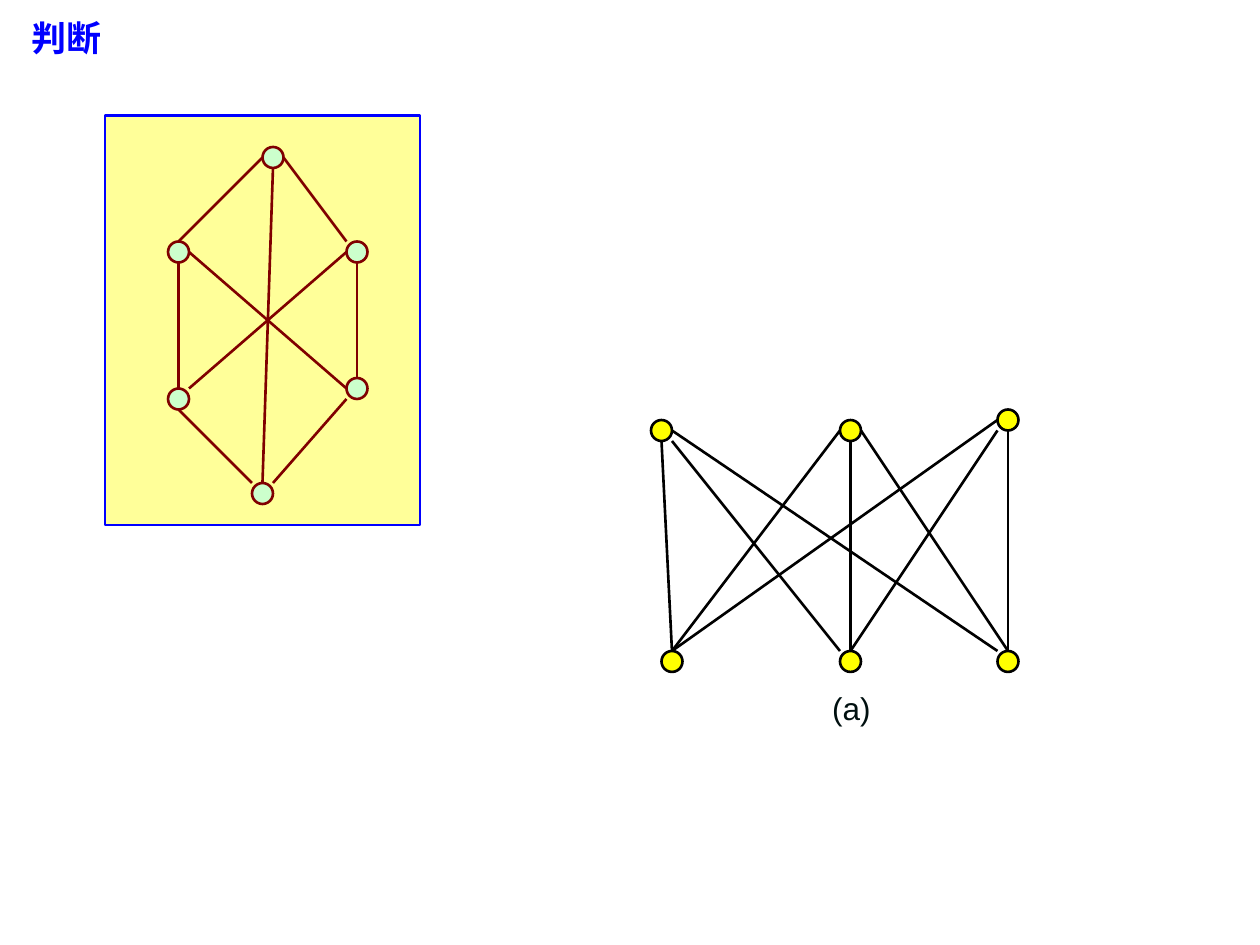
import pptx
import pptx.util
import pptx.dml.color
import pptx.enum.shapes
import pptx.enum.text
import pptx.oxml

Pt = pptx.util.Pt
SHAPE = pptx.enum.shapes.MSO_SHAPE
STRAIGHT = pptx.enum.shapes.MSO_CONNECTOR.STRAIGHT
ALIGN = pptx.enum.text.PP_ALIGN
ANCHOR = pptx.enum.text.MSO_ANCHOR
GROW = pptx.enum.text.MSO_AUTO_SIZE.SHAPE_TO_FIT_TEXT

RADIUS = 6
# Direction from a node's centre to the point where an edge meets it
COMPASS = {
    "N": (0, -1), "S": (0, 1), "E": (1, 0), "W": (-1, 0),
    "NE": (1, -1), "NW": (-1, -1), "SE": (1, 1), "SW": (-1, 1),
}
EMPTY_EFFECTS = (
    '<a:effectLst xmlns:a="http://schemas.openxmlformats.org/drawingml/2006/main"/>'
)

# Node centres, relative to the box of each graph
HEXAGON_NODES = {
    "top": (96, 24), "upper left": (42, 78), "upper right": (144, 78),
    "lower left": (42, 162), "lower right": (144, 156), "bottom": (90, 216),
}
HEXAGON_EDGES = [
    ("top", "S", "bottom", "N"),
    ("top", "W", "upper left", "N"),
    ("top", "E", "upper right", "NW"),
    ("upper left", "S", "lower left", "N"),
    ("lower left", "S", "bottom", "NW"),
    ("bottom", "NE", "lower right", "SW"),
    ("upper right", "S", "lower right", "N"),
    ("upper left", "E", "lower right", "W"),
    ("lower left", "NE", "upper right", "W"),
]
BIPARTITE_NODES = {
    "u1": (6, 12), "u2": (114, 12), "u3": (204, 6),
    "v1": (12, 144), "v2": (114, 144), "v3": (204, 144),
}
BIPARTITE_EDGES = [
    ("u1", "S", "v1", "N"), ("u1", "SE", "v2", "NW"), ("u1", "E", "v3", "NW"),
    ("u2", "W", "v1", "N"), ("u2", "S", "v2", "N"), ("u2", "E", "v3", "N"),
    ("v1", "N", "u3", "W"), ("v2", "N", "u3", "SW"), ("v3", "N", "u3", "S"),
]


def rgb(hex_color):
    return pptx.dml.color.RGBColor.from_string(hex_color)


def set_outline(item, color):
    item.line.color.rgb = rgb(color)
    item.line.width = Pt(1.5)


def add_filled(shapes, kind, left, top, width, height, fill, outline):
    shape = shapes.add_shape(kind, Pt(left), Pt(top), Pt(width), Pt(height))
    shape.shadow.inherit = False
    shape.fill.solid()
    shape.fill.fore_color.rgb = rgb(fill)
    set_outline(shape, outline)


def format_text(frame, text, align, font_name, size, color, bold=False):
    frame.text = text
    frame.auto_size = GROW
    paragraph = frame.paragraphs[0]
    paragraph.alignment = align
    font = paragraph.runs[0].font
    font.name, font.size, font.bold = font_name, Pt(size), bold
    font.color.rgb = rgb(color)


def place_title(slide, left, top, width, height):
    title = slide.shapes.title
    title.left, title.top = Pt(left), Pt(top)
    title.width, title.height = Pt(width), Pt(height)
    title.text_frame.vertical_anchor = ANCHOR.TOP
    format_text(title.text_frame, "判断", ALIGN.LEFT,
                "Times New Roman", 20, "0000FF", bold=True)


def add_graph(slide, left, top, nodes, edges, fill, outline):
    """Draw a grouped graph and return the group."""
    group = slide.shapes.add_group_shape()
    for x, y in nodes.values():
        add_filled(group.shapes, SHAPE.OVAL, left + x - RADIUS, top + y - RADIUS,
                   2 * RADIUS, 2 * RADIUS, fill, outline)

    def meeting_point(node, direction):
        x, y = nodes[node]
        dx, dy = COMPASS[direction]
        return Pt(left + x + RADIUS * dx), Pt(top + y + RADIUS * dy)

    for start, start_side, end, end_side in edges:
        edge = group.shapes.add_connector(
            STRAIGHT, *meeting_point(start, start_side), *meeting_point(end, end_side))
        set_outline(edge, outline)
        edge._element.spPr.append(pptx.oxml.parse_xml(EMPTY_EFFECTS))
    return group


def add_hexagon_panel(slide, left, top, width, height):
    add_filled(slide.shapes, SHAPE.RECTANGLE, left, top, width, height,
               "FFFF99", "0000FF")
    add_graph(slide, left, top, HEXAGON_NODES, HEXAGON_EDGES, "CCFFCC", "800000")


def add_bipartite_graph(slide, left, top):
    group = add_graph(slide, left, top, BIPARTITE_NODES, BIPARTITE_EDGES,
                      "FFFF00", "000000")
    caption = group.shapes.add_textbox(Pt(left + 95), Pt(top + 156), Pt(39), Pt(29))
    caption.text_frame.word_wrap = False
    format_text(caption.text_frame, "(a)", ALIGN.CENTER, "Arial", 18, "001010")


def main():
    deck = pptx.Presentation()
    deck.slide_width, deck.slide_height = Pt(720), Pt(540)
    slide = deck.slides.add_slide(deck.slide_layouts[5])
    place_title(slide, 11, 6, 193, 31)
    add_hexagon_panel(slide, 60, 66, 180, 234)
    add_bipartite_graph(slide, 372, 234)
    deck.save("out.pptx")


if __name__ == "__main__":
    main()
